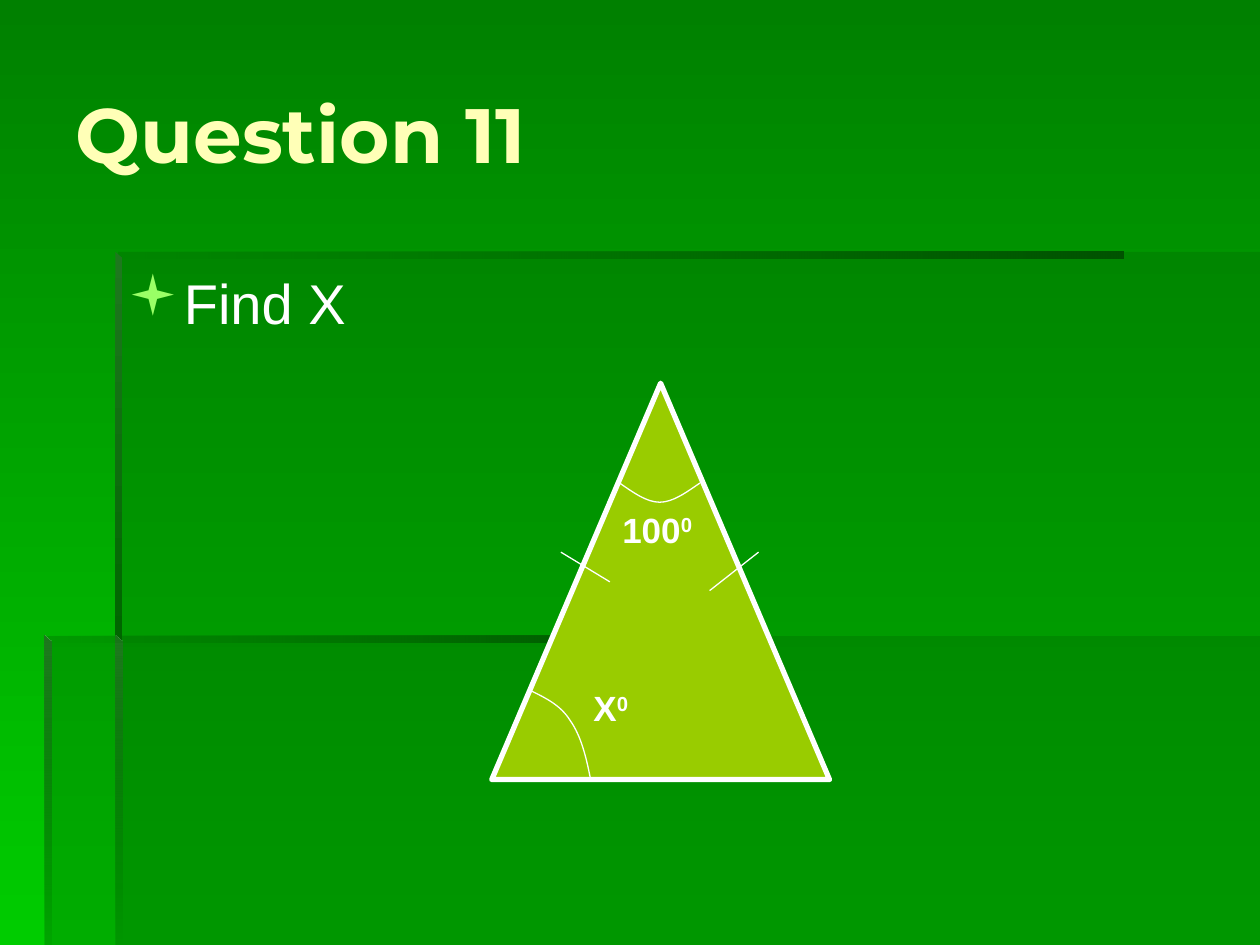
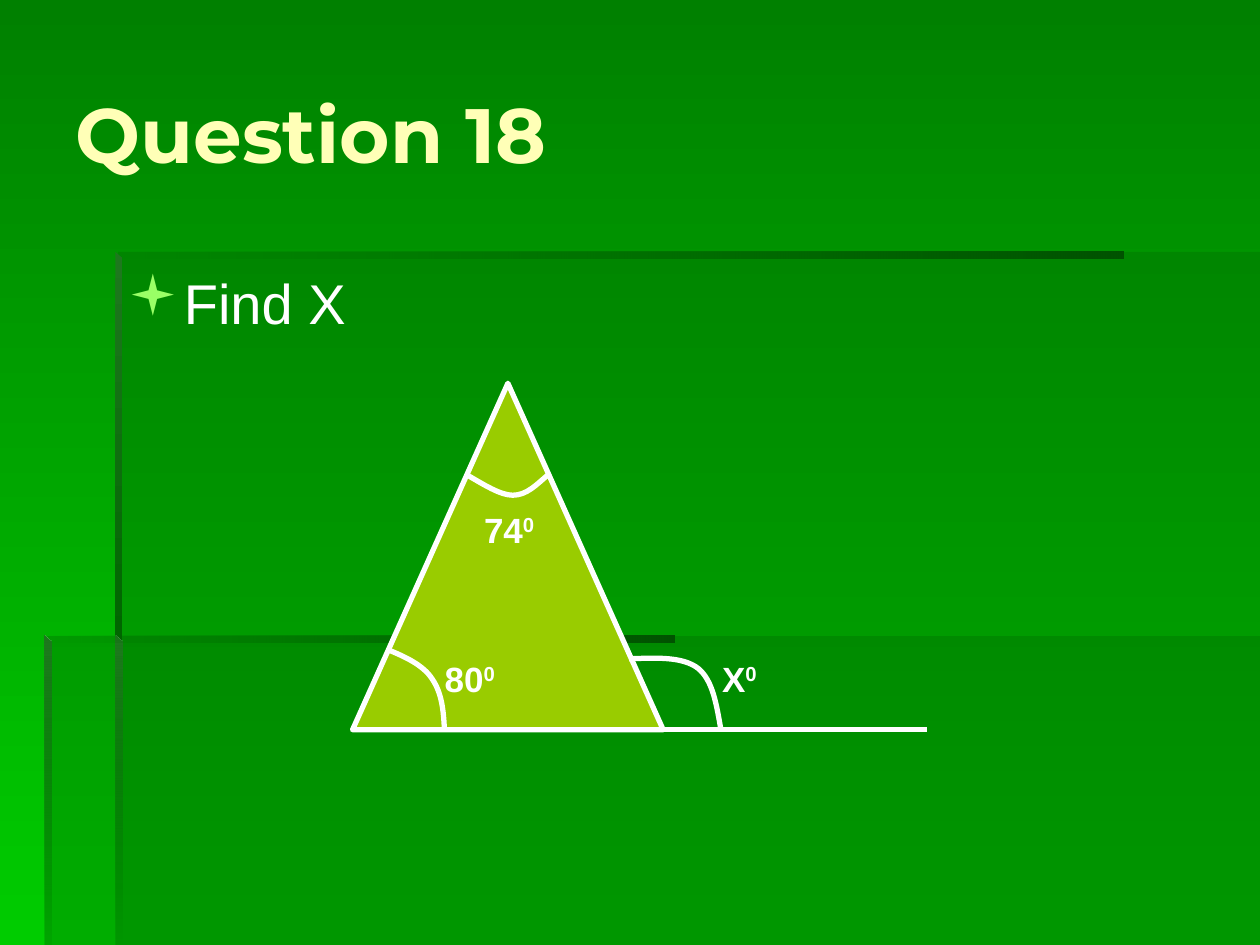
from dataclasses import dataclass

from lxml.etree import SubElement
from pptx import Presentation
from pptx.dml.color import RGBColor as RGB
from pptx.enum.shapes import MSO_CONNECTOR as CONNECTOR, MSO_SHAPE as SHAPE
from pptx.enum.text import MSO_ANCHOR as ANCHOR, MSO_AUTO_SIZE as AUTO_SIZE, PP_ALIGN as ALIGN
from pptx.oxml.ns import qn
from pptx.util import Pt


@dataclass(frozen=True)
class Theme:
    title_colour: RGB = RGB.from_string("FFFFB7")
    white: RGB = RGB.from_string("FFFFFF")
    triangle: RGB = RGB.from_string("99CC00")
    bullet: str = "99FF66"
    sky_top: RGB = RGB.from_string("008000")
    sky_bottom: RGB = RGB.from_string("00CC00")
    panel: RGB = RGB.from_string("006600")
    edge_dark: RGB = RGB.from_string("005300")
    edge_light: RGB = RGB.from_string("1E781E")
    title_font: str = "Montserrat"
    body_font: str = "Arial"
    title_size: int = 44
    body_size: int = 32
    label_size: int = 20
    bold_line: float = 3
    thin_line: float = 0.75


THEME = Theme()
WIDTH, HEIGHT = 720, 540
DOWN, LEFTWARD = 270, 180  # counter-clockwise gradient angles


# Shared helpers
def set_opacity(colour_parent, percent):
    colour = next(colour_parent.iter(qn("a:srgbClr")))
    SubElement(colour, qn("a:alpha")).set("val", str(percent * 1000))


def fill_gradient(fill, start, end, angle, end_opacity=100):
    fill.gradient()
    fill.gradient_angle = angle
    first, last = fill.gradient_stops
    first.color.rgb, last.color.rgb = start, end
    if end_opacity < 100:
        set_opacity(last._gs, end_opacity)


def style_font(font, name, size, colour, bold=False):
    font.name, font.size, font.bold = name, Pt(size), bold
    font.color.rgb = colour


def style_line(line, weight):
    line.color.rgb = THEME.white
    line.width = Pt(weight)


def draw_outline(slide, points, close=True):
    (x, y), *rest = [(Pt(px), Pt(py)) for px, py in points]
    builder = slide.shapes.build_freeform(x, y)
    builder.add_line_segments(rest, close=close)
    outline = builder.convert_to_shape()
    outline.shadow.inherit = False
    return outline


# Background, shared through the layout
def draw_panel(slide, points):
    panel = draw_outline(slide, points)
    panel.fill.solid()
    panel.fill.fore_color.rgb = THEME.panel
    set_opacity(panel.element.spPr.find(qn("a:solidFill")), 30)
    panel.line.fill.background()


def draw_edge(slide, points, start, angle, end_opacity):
    edge = draw_outline(slide, points)
    fill_gradient(edge.fill, start, THEME.panel, angle, end_opacity)
    edge.line.fill.background()


def draw_top_edge(slide, x, y, length):
    corners = [(x, y), (x, y + 4), (x + length, y + 4), (x + length, y)]
    draw_edge(slide, corners, THEME.edge_dark, LEFTWARD, 0)


def draw_side_edge(slide, x, y, bottom, end_opacity):
    corners = [(x, y), (x, bottom), (x + 4, bottom), (x + 4, y + 3.5)]
    draw_edge(slide, corners, THEME.edge_light, DOWN, end_opacity)


def decorate_layout(slide, layout):
    """Draw the backdrop on a slide, then move it to the layout."""
    fill_gradient(layout.background.fill, THEME.sky_top, THEME.sky_bottom, DOWN)
    existing = len(slide.shapes)
    top, step, inner, outer = 144, 363.5, 66, 25.5

    draw_panel(slide, [(inner, step), (inner, HEIGHT), (WIDTH, HEIGHT), (WIDTH, step)])
    draw_panel(slide, [(67.5, step), (outer, step), (outer, HEIGHT),
                       (WIDTH, HEIGHT), (WIDTH, top), (67.5, top)])
    draw_top_edge(slide, inner, top, 576)
    draw_side_edge(slide, inner, top, 367, 100)
    draw_side_edge(slide, inner, step - 0.5, HEIGHT, 0)
    draw_top_edge(slide, outer, step - 0.5, 360)
    draw_side_edge(slide, outer, step - 0.5, HEIGHT, 10)

    for position, part in enumerate(list(slide.shapes)[existing:], start=2):
        layout.shapes.element.insert(position, part.element)


# Text
def write_title(slide, text):
    title = slide.shapes.title
    title.left, title.top, title.width, title.height = Pt(36), Pt(19.5), Pt(660), Pt(113)
    frame = title.text_frame
    frame.text = text
    frame.auto_size, frame.vertical_anchor = AUTO_SIZE.NONE, ANCHOR.MIDDLE
    heading = frame.paragraphs[0]
    heading.alignment = ALIGN.LEFT
    style_font(heading.runs[0].font, THEME.title_font, THEME.title_size,
               THEME.title_colour, bold=True)


def write_task(slide, text):
    frame = slide.shapes.add_textbox(Pt(66), Pt(150), Pt(630), Pt(330)).text_frame
    frame.word_wrap = True
    frame.text = text
    task = frame.paragraphs[0]
    properties = task._p.get_or_add_pPr()
    properties.set("marL", str(Pt(27)))
    properties.set("indent", str(-Pt(27)))
    bullet_colour = SubElement(properties, qn("a:buClr"))
    SubElement(bullet_colour, qn("a:srgbClr")).set("val", THEME.bullet)
    SubElement(properties, qn("a:buFont")).set("typeface", "Wingdings")
    SubElement(properties, qn("a:buChar")).set("char", "▪")
    style_font(task.runs[0].font, THEME.body_font, THEME.body_size, THEME.white)


def label_angle(slide, value, x, y, width=45.5):
    frame = slide.shapes.add_textbox(Pt(x), Pt(y), Pt(width), Pt(31.5)).text_frame
    frame.word_wrap = True
    frame.text = value
    label = frame.paragraphs[0]
    degree = label.add_run()
    degree.text = "0"
    for run in label.runs:
        style_font(run.font, THEME.body_font, THEME.label_size, THEME.white, bold=True)
    degree._r.get_or_add_rPr().set("baseline", "30000")


# Geometry
def draw_triangle(slide, x, y, width, height):
    triangle = slide.shapes.add_shape(SHAPE.ISOSCELES_TRIANGLE,
                                      Pt(x), Pt(y), Pt(width), Pt(height))
    triangle.shadow.inherit = False
    triangle.fill.solid()
    triangle.fill.fore_color.rgb = THEME.triangle
    style_line(triangle.line, THEME.bold_line)


def draw_segment(slide, start, end, weight):
    ends = [Pt(value) for value in (*start, *end)]
    segment = slide.shapes.add_connector(CONNECTOR.STRAIGHT, *ends)
    style_line(segment.line, weight)
    SubElement(segment.element.spPr, qn("a:effectLst"))


def draw_arc(slide, points, weight):
    """Draw a start point followed by Bézier triples as an angle mark."""
    arc = draw_outline(slide, points, close=False)
    arc.fill.background()
    style_line(arc.line, weight)
    route = next(arc.element.iter(qn("a:path")))
    steps = route.findall(qn("a:lnTo"))
    for first in range(0, len(steps), 3):
        curve = SubElement(route, qn("a:cubicBezTo"))
        for step in steps[first:first + 3]:
            curve.append(step[0])
            route.remove(step)


# Slides
def add_question(deck, layout, number):
    slide = deck.slides.add_slide(layout)
    write_title(slide, f"Question {number}")
    write_task(slide, "Find X")
    return slide


def draw_isosceles_question(slide):
    thin = THEME.thin_line
    draw_triangle(slide, 281, 219, 193, 226.5)
    # Equal-side marks
    draw_segment(slide, (320.5, 315.5), (348.5, 332.5), thin)
    draw_segment(slide, (433.5, 315.5), (405.5, 337.5), thin)
    # Angles
    draw_arc(slide, [(354, 276), (362, 281.5), (369.5, 287), (377, 287),
                     (384.5, 287), (392, 281.5), (400, 276)], thin)
    draw_arc(slide, [(303, 394.5), (312, 399), (320.5, 403), (326, 412),
                     (332, 420.5), (335, 432.5), (337.5, 445.5)], thin)
    label_angle(slide, "100", 348.5, 287, width=62.5)
    label_angle(slide, "X", 332, 389)


def draw_exterior_question(slide):
    bold = THEME.bold_line
    draw_triangle(slide, 201.5, 219, 177.5, 198)
    # Extended base
    draw_segment(slide, (379, 417), (530, 417), bold)
    # Angles
    draw_arc(slide, [(267, 271.5), (276.5, 277), (286, 283), (293, 283),
                     (301, 283), (306.5, 277), (313, 271.5)], bold)
    draw_arc(slide, [(221, 371), (231, 375), (242, 380), (247, 388),
                     (252.5, 396), (253.5, 406), (254, 417)], bold)
    draw_arc(slide, [(359.5, 376.5), (374.5, 376), (390, 375), (399, 382),
                     (407.5, 389), (409.5, 403), (412, 417)], bold)
    label_angle(slide, "74", 269.5, 287)
    label_angle(slide, "80", 247, 372)
    label_angle(slide, "X", 405.5, 372)


def main():
    deck = Presentation()
    deck.slide_width, deck.slide_height = Pt(WIDTH), Pt(HEIGHT)
    layout = deck.slide_layouts.get_by_name("Title Only")

    isosceles = add_question(deck, layout, 11)
    decorate_layout(isosceles, layout)
    draw_isosceles_question(isosceles)

    draw_exterior_question(add_question(deck, layout, 18))
    deck.save("out.pptx")


if __name__ == "__main__":
    main()
